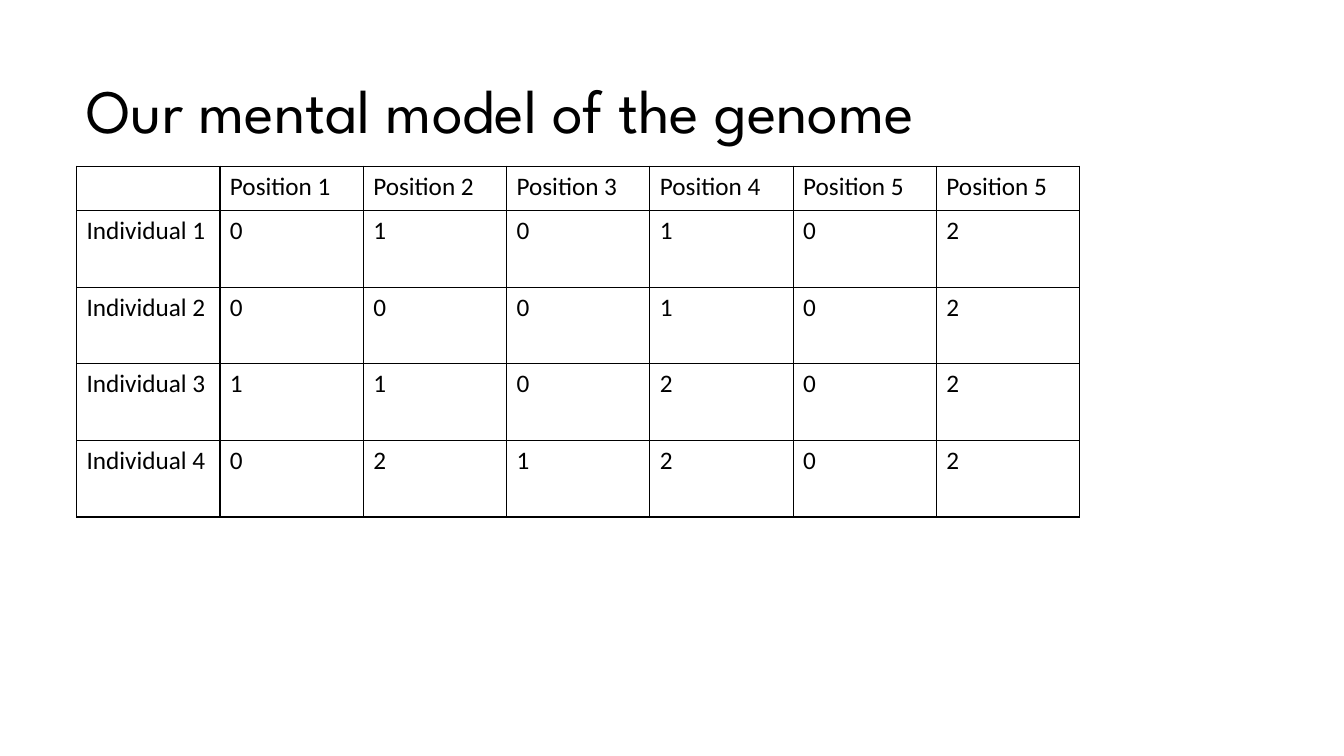
from lxml import etree
from pptx import Presentation
from pptx.dml.color import RGBColor
from pptx.enum.text import MSO_ANCHOR
from pptx.oxml.ns import qn
from pptx.util import Inches, Pt

MIDDLE = MSO_ANCHOR.MIDDLE

# Content
TITLE = "Our mental model of the genome"
ROWS = [
    ["", "Position 1", "Position 2", "Position 3", "Position 4", "Position 5", "Position 5"],
    ["Individual 1", "0", "1", "0", "1", "0", "2"],
    ["Individual 2", "0", "0", "0", "1", "0", "2"],
    ["Individual 3", "1", "1", "0", "2", "0", "2"],
    ["Individual 4", "0", "2", "1", "2", "0", "2"],
]
BLACK = "000000"
LEFT = 0.76
TABLE_TOP, TABLE_WIDTH = 1.65, 9.95
HEADER_HEIGHT, BODY_HEIGHT = 0.44, 0.76


def color(hex_string):
    return RGBColor.from_string(hex_string)


def style(paragraph, font_name, size):
    paragraph.font.name = font_name
    paragraph.font.size = Pt(size)
    paragraph.font.color.rgb = color(BLACK)


def add_borders(cell):
    properties = cell._tc.get_or_add_tcPr()
    for side in ("a:lnL", "a:lnR", "a:lnT", "a:lnB"):
        line = etree.SubElement(properties, qn(side), w=str(Pt(1)))
        fill = etree.SubElement(line, qn("a:solidFill"))
        etree.SubElement(fill, qn("a:srgbClr"), val=BLACK)


presentation = Presentation()
presentation.slide_width = Inches(13.33)
presentation.slide_height = Inches(7.5)
slide = presentation.slides.add_slide(presentation.slide_layouts[6])

# Title
title_box = slide.shapes.add_textbox(Inches(LEFT), Inches(0.4), Inches(11.36), Inches(1.45))
title_frame = title_box.text_frame
title_frame.word_wrap = True
title_frame.vertical_anchor = MIDDLE
title_frame.text = TITLE
title_paragraph = title_frame.paragraphs[0]
title_paragraph.line_spacing = 0.9
style(title_paragraph, "League Spartan", 44)

# Genotype table
heights = [HEADER_HEIGHT] + [BODY_HEIGHT] * (len(ROWS) - 1)
table = slide.shapes.add_table(
    len(ROWS), len(ROWS[0]), Inches(LEFT), Inches(TABLE_TOP),
    Inches(TABLE_WIDTH), Inches(sum(heights))).table
table.first_row = False
table.horz_banding = False
for column in table.columns:
    column.width = Inches(TABLE_WIDTH / len(ROWS[0]))
for row, height, values in zip(table.rows, heights, ROWS):
    row.height = Inches(height)
    for cell, value in zip(row.cells, values):
        cell.text = value
        style(cell.text_frame.paragraphs[0], "Calibri", 18)
        add_borders(cell)
        cell.fill.background()

presentation.save("out.pptx")
